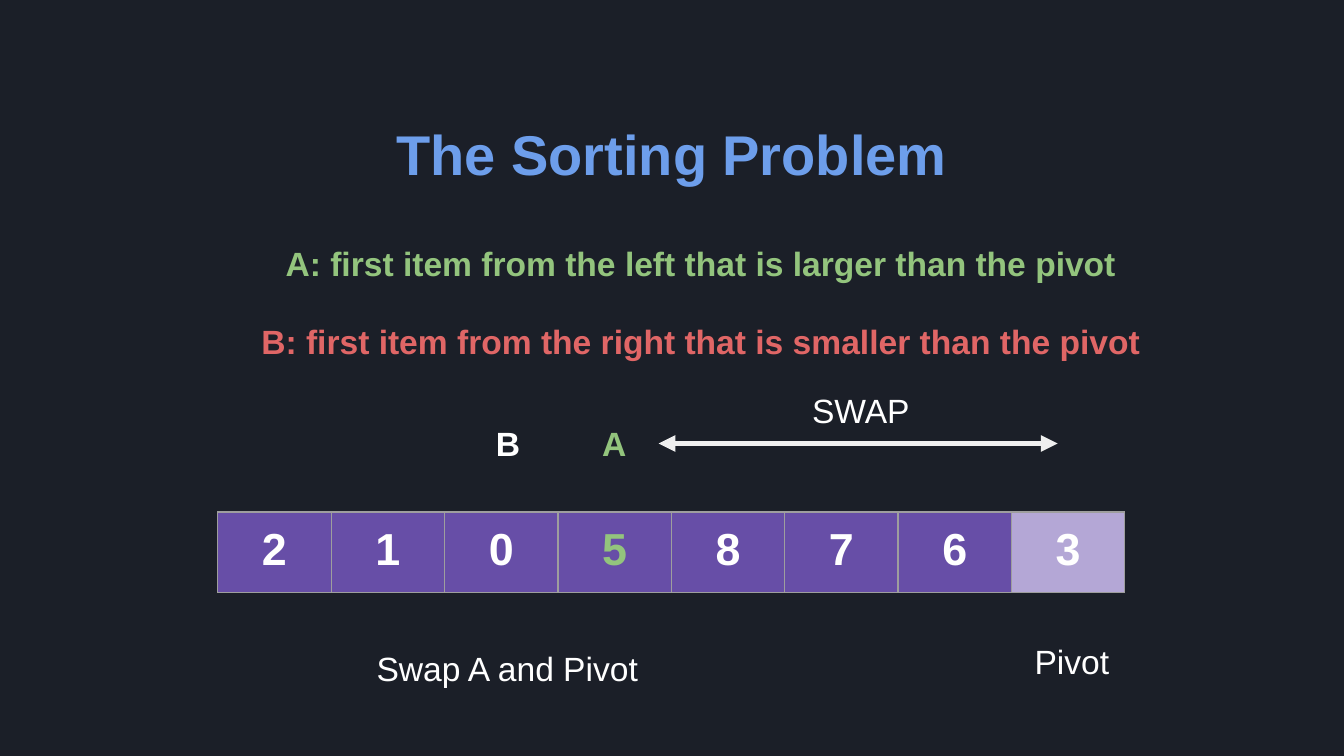
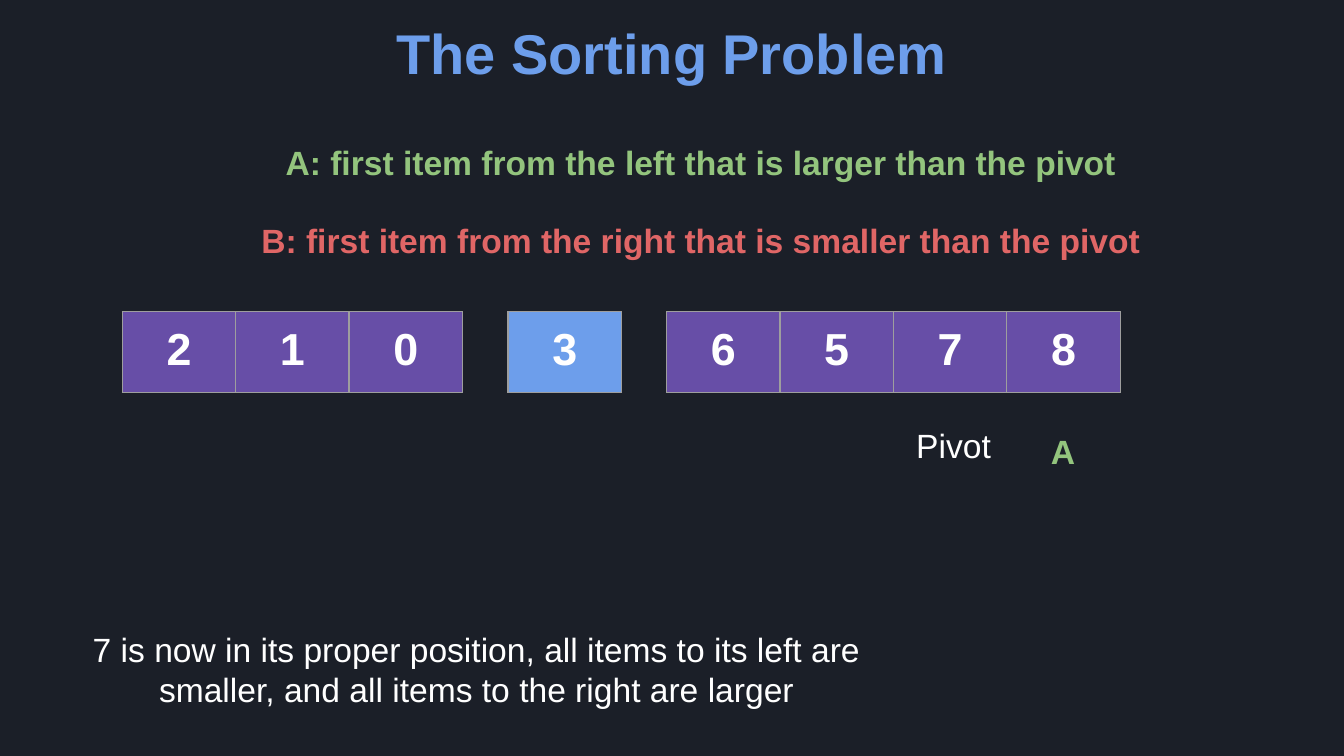
from dataclasses import dataclass

import lxml.etree
import pptx
import pptx.dml.color
import pptx.enum.shapes
import pptx.enum.text
import pptx.oxml
import pptx.oxml.ns
import pptx.presentation
import pptx.shapes.autoshape
import pptx.slide
import pptx.table
import pptx.text.text
import pptx.util
from pptx.util import Inches

FONT = "Arial"
BACKGROUND = "1B1F28"
BLUE = "6D9EEB"
GREEN = "93C47D"
RED = "E06666"
WHITE = "FFFFFF"
PURPLE = "674EA7"
LILAC = "B4A7D6"
BORDER = "9E9E9E"
ARROW = "EFEFEF"

SLIDE_WIDTH = Inches(10)
SLIDE_HEIGHT = SLIDE_WIDTH * 9 // 16
CELL_WIDTH = Inches(6.75 / 8)
CELL_HEIGHT = Inches(0.6)
MARGIN = Inches(0.1)
LABEL_HEIGHT = 0.5
LETTER_WIDTH = 0.6
CAPTION_WIDTH = 2.41


@dataclass(frozen=True)
class Label:
    text: str
    left: float
    top: float
    width: float
    height: float = LABEL_HEIGHT
    color: str = WHITE
    size: int = 18
    bold: bool = False


@dataclass(frozen=True)
class Item:
    value: str
    fill: str = PURPLE
    color: str = WHITE


def rgb(value: str) -> pptx.dml.color.RGBColor:
    return pptx.dml.color.RGBColor.from_string(value)


def write_text(frame: pptx.text.text.TextFrame, text: str, size: int,
               color: str, bold: bool) -> None:
    paragraph = frame.paragraphs[0]
    paragraph.alignment = pptx.enum.text.PP_ALIGN.CENTER
    run = paragraph.add_run()
    run.text = text
    run.font.name = FONT
    run.font.size = pptx.util.Pt(size)
    run.font.bold = bold
    run.font.color.rgb = rgb(color)


def add_label(slide: pptx.slide.Slide, label: Label) -> pptx.shapes.autoshape.Shape:
    shape = slide.shapes.add_textbox(Inches(label.left), Inches(label.top),
                                     Inches(label.width), Inches(label.height))
    frame = shape.text_frame
    frame.word_wrap = True
    frame.margin_left = frame.margin_right = MARGIN
    frame.margin_top = frame.margin_bottom = MARGIN
    write_text(frame, label.text, label.size, label.color, label.bold)
    return shape


def add_heading(slide: pptx.slide.Slide, top: float) -> None:
    """Add the title and the definitions of A and B, starting at top."""
    labels = [
        Label("The Sorting Problem", 1.3, top, 7.4, 0.81, BLUE, 30, True),
        Label("A: first item from the left that is larger than the pivot",
              1.74, top + 0.92, 6.95, color=GREEN, bold=True),
        Label("B: first item from the right that is smaller than the pivot",
              1.74, top + 1.5, 6.95, color=RED, bold=True),
    ]
    for label in labels:
        add_label(slide, label)


def add_cell_borders(cell: pptx.table._Cell) -> None:
    properties = cell._tc.get_or_add_tcPr()
    for side in ("lnL", "lnR", "lnT", "lnB"):
        properties.append(pptx.oxml.parse_xml(
            f'<a:{side} {pptx.oxml.ns.nsdecls("a")} w="{pptx.util.Pt(0.75)}">'
            f'<a:solidFill><a:srgbClr val="{BORDER}"/></a:solidFill></a:{side}>'))


def add_array(slide: pptx.slide.Slide, left: float, top: float,
              items: list[Item]) -> None:
    """Add a one-row table with one cell for each item."""
    table = slide.shapes.add_table(1, len(items), Inches(left), Inches(top),
                                   CELL_WIDTH * len(items), CELL_HEIGHT).table
    table.first_row = False
    table.horz_banding = False
    for column, item in enumerate(items):
        table.columns[column].width = CELL_WIDTH
        cell = table.cell(0, column)
        cell.margin_left = cell.margin_right = MARGIN
        cell.margin_top = cell.margin_bottom = MARGIN
        add_cell_borders(cell)
        cell.fill.solid()
        cell.fill.fore_color.rgb = rgb(item.fill)
        write_text(cell.text_frame, item.value, 24, item.color, True)


def add_double_arrow(slide: pptx.slide.Slide, start: pptx.shapes.autoshape.Shape,
                     end_x: float) -> None:
    """Add a level arrow from the right side of start to end_x."""
    middle = start.top + start.height // 2
    connector = slide.shapes.add_connector(
        pptx.enum.shapes.MSO_CONNECTOR.STRAIGHT,
        start.left + start.width, middle, Inches(end_x), middle)
    connector.begin_connect(start, 3)
    connector.line.color.rgb = rgb(ARROW)
    connector.line.width = pptx.util.Pt(3)
    line = connector.line._get_or_add_ln()
    for end in ("a:headEnd", "a:tailEnd"):
        lxml.etree.SubElement(line, pptx.oxml.ns.qn(end), type="triangle")
    lxml.etree.SubElement(connector._element.spPr, pptx.oxml.ns.qn("a:effectLst"))


def add_slide(presentation: pptx.presentation.Presentation,
              heading_top: float) -> pptx.slide.Slide:
    slide = presentation.slides.add_slide(presentation.slide_layouts[6])
    slide.background.fill.solid()
    slide.background.fill.fore_color.rgb = rgb(BACKGROUND)
    add_heading(slide, heading_top)
    return slide


def build_swap_slide(presentation: pptx.presentation.Presentation) -> None:
    slide = add_slide(presentation, 0.79)
    add_label(slide, Label("Pivot", 6.77, 4.67, CAPTION_WIDTH))
    add_array(slide, 1.62, 3.81, [
        *map(Item, "210"), Item("5", color=GREEN),
        *map(Item, "876"), Item("3", fill=LILAC)])
    marker_a = add_label(
        slide, Label("A ", 4.3, 3.05, LETTER_WIDTH, color=GREEN, bold=True))
    add_label(slide, Label("B", 3.48, 3.05, LETTER_WIDTH, bold=True))
    add_label(slide, Label("Swap A and Pivot", 0.61, 4.72, 6.33))
    add_double_arrow(slide, marker_a, 7.87)
    add_label(slide, Label("SWAP", 5.2, 2.8, CAPTION_WIDTH))


def build_partition_slide(presentation: pptx.presentation.Presentation) -> None:
    slide = add_slide(presentation, 0.04)
    array_top = 2.32
    add_array(slide, 3.78, array_top, [Item("3", fill=BLUE)])
    add_array(slide, 0.91, array_top, list(map(Item, "210")))
    add_array(slide, 4.96, array_top, list(map(Item, "6578")))
    add_label(slide, Label(
        "7 is now in its proper position, all items to its left are smaller, "
        "and all items to the right are larger", 0.32, 4.58, 6.45))
    add_label(slide, Label("A ", 7.64, 3.11, LETTER_WIDTH, color=GREEN, bold=True))
    add_label(slide, Label("Pivot", 5.89, 3.06, CAPTION_WIDTH))


def main() -> None:
    presentation = pptx.Presentation()
    presentation.slide_width = SLIDE_WIDTH
    presentation.slide_height = SLIDE_HEIGHT
    build_swap_slide(presentation)
    build_partition_slide(presentation)
    presentation.save("out.pptx")


if __name__ == "__main__":
    main()
